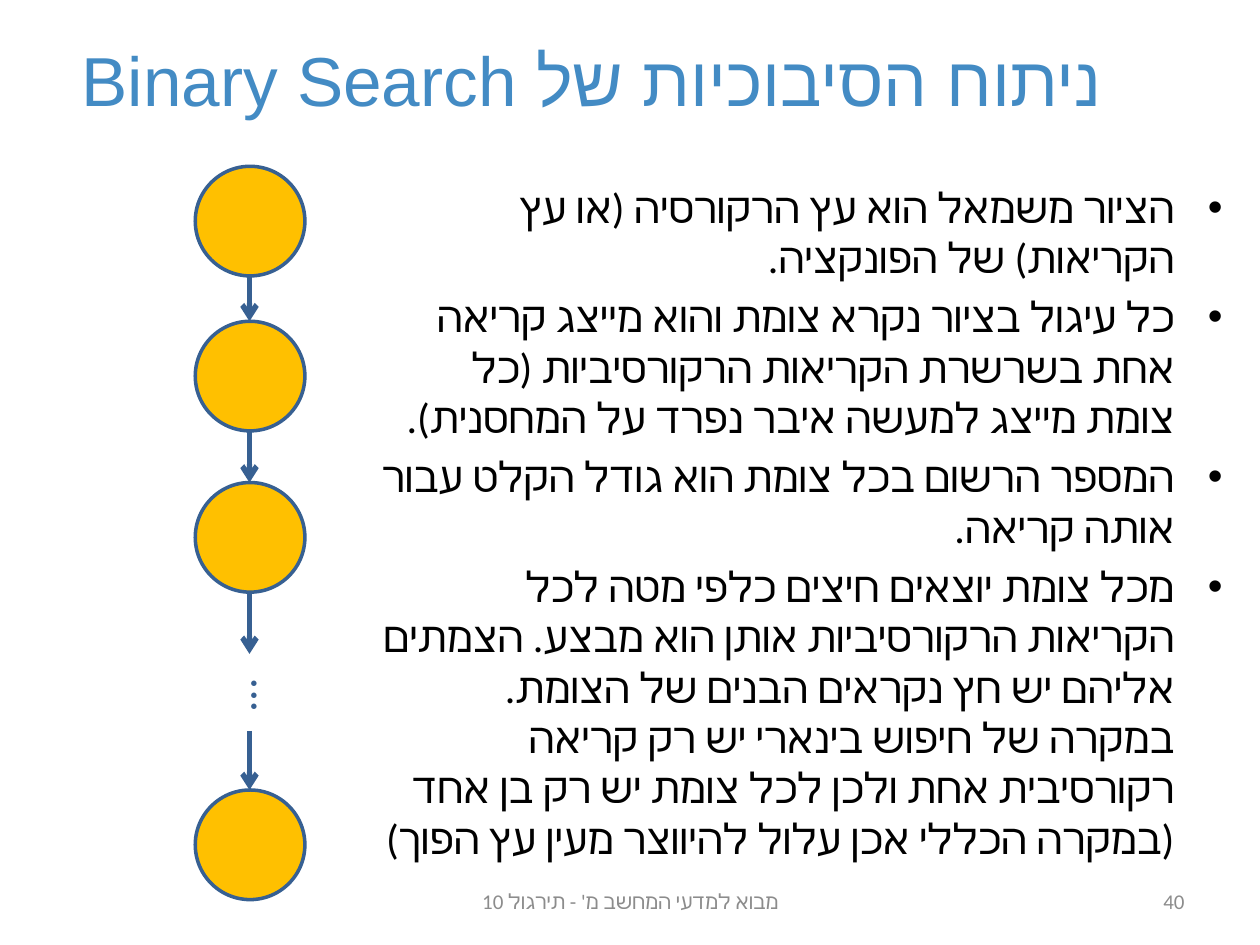
"""Build the slide on the complexity of binary search, with its chain of recursive calls."""
from dataclasses import dataclass

from lxml import etree
from pptx import Presentation
from pptx import util as u
from pptx.dml.color import RGBColor
from pptx.enum import shapes, text
from pptx.oxml.ns import qn


@dataclass(frozen=True)
class Theme:
    title_font: str = "Arial"
    body_font: str = "Calibri"
    title: str = "438BC4"
    body: str = "000000"
    muted: str = "8C8C8C"
    node: str = "FFC000"
    edge: str = "376092"
    title_size: float = 39.6
    body_size: float = 24
    footer_size: float = 12
    dots_size: float = 26
    node_line: float = 2
    arrow_line: float = 3


@dataclass(frozen=True)
class Label:
    left: float
    top: float
    width: float
    height: float
    lines: tuple[str, ...]
    font: str
    size: float
    color: str
    anchor: text.MSO_ANCHOR = text.MSO_ANCHOR.MIDDLE
    align: text.PP_ALIGN = text.PP_ALIGN.RIGHT
    bullets: bool = False
    rotation: float = 0


@dataclass(frozen=True)
class Arrow:
    top: float
    bottom: float


THEME = Theme()
NODE_LEFT, NODE_SIZE, AXIS = 1.55, 0.87, 1.98
NODE_TOPS = (1.32, 2.55, 3.83, 6.27)
ARROWS = (Arrow(2.18, 2.55), Arrow(3.42, 3.83), Arrow(4.69, 5.19), Arrow(5.8, 6.27))
EXPLANATION = (
    "הציור משמאל הוא עץ הרקורסיה (או עץ הקריאות) של הפונקציה.",
    "כל עיגול בציור נקרא צומת והוא מייצג קריאה אחת בשרשרת הקריאות הרקורסיביות "
    "(כל צומת מייצג למעשה איבר נפרד על המחסנית).",
    "המספר הרשום בכל צומת הוא גודל הקלט עבור אותה קריאה.",
    "מכל צומת יוצאים חיצים כלפי מטה לכל הקריאות הרקורסיביות אותן הוא מבצע. "
    "הצמתים אליהם יש חץ נקראים הבנים של הצומת. במקרה של חיפוש בינארי יש רק קריאה "
    "רקורסיבית אחת ולכן לכל צומת יש רק בן אחד (במקרה הכללי אכן עלול להיווצר מעין עץ הפוך)",
)
LABELS = (
    Label(0.35, 0, 8.5, 1.25, ("ניתוח הסיבוכיות של Binary Search",),
          THEME.title_font, THEME.title_size, THEME.title),
    Label(3.42, 6.95, 3.17, 0.4, ("מבוא למדעי המחשב מ' - תירגול 10",),
          THEME.body_font, THEME.footer_size, THEME.muted, align=text.PP_ALIGN.CENTER),
    Label(7.17, 6.95, 2.33, 0.4, ("40",),
          THEME.body_font, THEME.footer_size, THEME.muted),
    Label(2.87, 1.39, 6.93, 5.55, EXPLANATION,
          THEME.body_font, THEME.body_size, THEME.body,
          anchor=text.MSO_ANCHOR.TOP, bullets=True),
    Label(1.58, 5.33, 0.63, 0.54, ("...",),
          THEME.body_font, THEME.dots_size, THEME.edge,
          anchor=text.MSO_ANCHOR.TOP, rotation=270),
)


def add_bullet(para) -> None:
    """Give a paragraph a hanging round bullet."""
    props = para._p.get_or_add_pPr()
    indent = u.Inches(0.38)
    props.set("marL", str(indent))
    props.set("indent", str(-indent))
    etree.SubElement(props, qn("a:buFont")).set("typeface", "Arial")
    etree.SubElement(props, qn("a:buChar")).set("char", "•")


def draw_label(page, label: Label) -> None:
    """Draw a right-to-left text box."""
    box = page.shapes.add_textbox(u.Inches(label.left), u.Inches(label.top),
                                  u.Inches(label.width), u.Inches(label.height))
    box.rotation = label.rotation
    frame = box.text_frame
    frame.word_wrap = True
    frame.vertical_anchor = label.anchor
    frame.text = "\n".join(label.lines)
    for index, para in enumerate(frame.paragraphs):
        para.alignment = label.align
        para._p.get_or_add_pPr().set("rtl", "1")
        if label.bullets:
            add_bullet(para)
            para.space_before = u.Pt(5 if index else 0)
        for span in para.runs:
            span.font.name = label.font
            span.font.size = u.Pt(label.size)
            span.font.color.rgb = RGBColor.from_string(label.color)
            complex_font = etree.SubElement(span._r.get_or_add_rPr(), qn("a:cs"))
            complex_font.set("typeface", label.font)


def draw_node(page, top: float) -> None:
    """Draw one call of the recursion as a circle."""
    node = page.shapes.add_shape(shapes.MSO_SHAPE.OVAL, u.Inches(NODE_LEFT), u.Inches(top),
                                 u.Inches(NODE_SIZE), u.Inches(NODE_SIZE))
    node.shadow.inherit = False
    node.fill.solid()
    node.fill.fore_color.rgb = RGBColor.from_string(THEME.node)
    node.line.color.rgb = RGBColor.from_string(THEME.edge)
    node.line.width = u.Pt(THEME.node_line)


def draw_arrow(page, arrow: Arrow) -> None:
    """Draw a downward arrow on the axis of the chain."""
    line = page.shapes.add_connector(shapes.MSO_CONNECTOR.STRAIGHT,
                                     u.Inches(AXIS), u.Inches(arrow.top),
                                     u.Inches(AXIS), u.Inches(arrow.bottom))
    line.line.color.rgb = RGBColor.from_string(THEME.edge)
    line.line.width = u.Pt(THEME.arrow_line)
    etree.SubElement(line.line._get_or_add_ln(), qn("a:tailEnd")).set("type", "arrow")
    etree.SubElement(line._element.spPr, qn("a:effectLst"))


def main() -> None:
    """Build and save the deck."""
    deck = Presentation()
    deck.slide_width, deck.slide_height = u.Inches(10), u.Inches(7.5)
    page = deck.slides.add_slide(deck.slide_layouts[6])
    for label in LABELS:
        draw_label(page, label)
    for top in NODE_TOPS:
        draw_node(page, top)
    for arrow in ARROWS:
        draw_arrow(page, arrow)
    deck.save("out.pptx")


if __name__ == "__main__":
    main()
